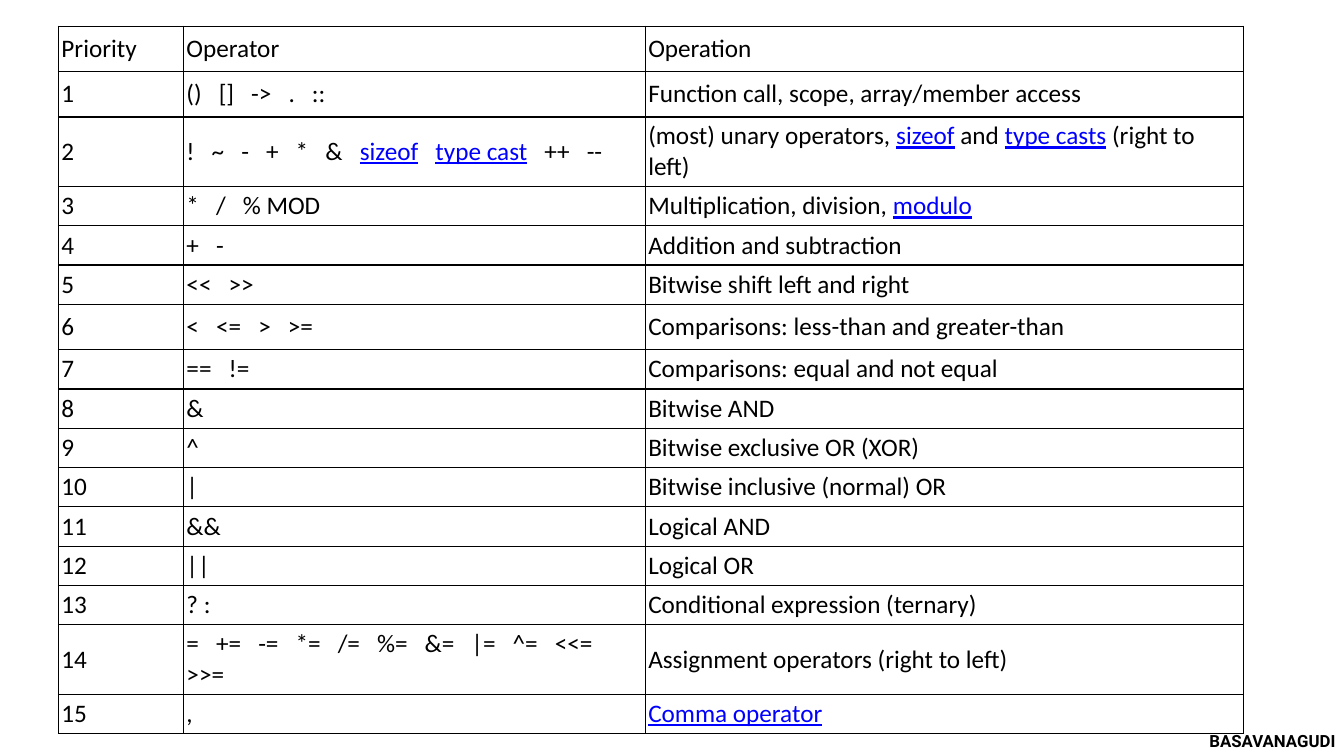
"""Build a slide with a table of operator priorities."""
from dataclasses import dataclass

from lxml import etree
from pptx import Presentation
from pptx import util as u
from pptx.dml.color import RGBColor
from pptx.enum import text
from pptx.oxml import ns

BLACK = "000000"
LINK_BLUE = "0000FF"
GAP = "   "
INSET = u.Inches(0.03)
COLUMN_WIDTHS = (1.24, 4.58, 5.93)
HEADINGS = ("Priority", "Operator", "Operation")
LINK_MARK = "`"


@dataclass(frozen=True)
class Level:
    operators: tuple[str, ...]
    operation: str
    height: float = 0.39


LEVELS = (
    Level(("()", "[]", "->", ".", "::"), "Function call, scope, array/member access", 0.45),
    Level(("!", "~", "-", "+", "*", "&", "`sizeof`", "`type cast`", "++", "--"),
          "(most) unary operators, `sizeof` and `type casts` (right to left)", 0.69),
    Level(("*", "/", "% MOD"), "Multiplication, division, `modulo`"),
    Level(("+", "-"), "Addition and subtraction"),
    Level(("<<", ">>"), "Bitwise shift left and right"),
    Level(("<", "<=", ">", ">="), "Comparisons: less-than and greater-than", 0.45),
    Level(("==", "!="), "Comparisons: equal and not equal"),
    Level(("&",), "Bitwise AND"),
    Level(("^",), "Bitwise exclusive OR (XOR)"),
    Level(("|",), "Bitwise inclusive (normal) OR"),
    Level(("&&",), "Logical AND"),
    Level(("||",), "Logical OR"),
    Level(("? :",), "Conditional expression (ternary)"),
    Level(("=", "+=", "-=", "*=", "/=", "%=", "&=", "|=", "^=", "<<=", ">>="),
          "Assignment operators (right to left)", 0.69),
    Level((",",), "`Comma operator`"),
)


def set_font(font, name: str, size: float, color: str) -> None:
    font.name = name
    font.size = u.Pt(size)
    font.color.rgb = RGBColor.from_string(color)


def set_insets(box) -> None:
    box.margin_left = box.margin_right = box.margin_top = box.margin_bottom = INSET


def add_borders(cell) -> None:
    properties = cell._tc.get_or_add_tcPr()
    for side in ("a:lnL", "a:lnR", "a:lnT", "a:lnB"):
        line = etree.SubElement(properties, ns.qn(side), w=str(u.Pt(1)))
        fill = etree.SubElement(line, ns.qn("a:solidFill"))
        etree.SubElement(fill, ns.qn("a:srgbClr"), val=BLACK)


def fill_cell(cell, content: str) -> None:
    set_insets(cell)
    cell.vertical_anchor = text.MSO_ANCHOR.MIDDLE
    add_borders(cell)
    cell.fill.background()
    paragraph = cell.text_frame.paragraphs[0]
    for index, part in enumerate(content.split(LINK_MARK)):
        if not part:
            continue
        linked = index % 2 == 1
        run = paragraph.add_run()
        run.text = part
        set_font(run.font, "Calibri", 18, LINK_BLUE if linked else BLACK)
        if linked:
            run.font.underline = True


def add_priority_table(slide) -> None:
    rows = [HEADINGS] + [
        (str(priority), GAP.join(level.operators), level.operation)
        for priority, level in enumerate(LEVELS, start=1)
    ]
    heights = [0.45] + [level.height for level in LEVELS]
    priorities = slide.shapes.add_table(
        len(rows), len(HEADINGS), u.Inches(0.58), u.Inches(0.26),
        u.Inches(sum(COLUMN_WIDTHS)), u.Inches(sum(heights))).table
    priorities.first_row = False
    priorities.horz_banding = False
    for column, width in zip(priorities.columns, COLUMN_WIDTHS):
        column.width = u.Inches(width)
    for row, height, contents in zip(priorities.rows, heights, rows):
        row.height = u.Inches(height)
        for cell, content in zip(row.cells, contents):
            fill_cell(cell, content)


def add_place_name(slide) -> None:
    place = slide.shapes.add_textbox(
        u.Inches(11.63), u.Inches(7.22), u.Inches(1.98), u.Inches(0.26)).text_frame
    place.word_wrap = True
    set_insets(place)
    place.text = "BASAVANAGUDI"
    paragraph = place.paragraphs[0]
    paragraph.alignment = text.PP_ALIGN.CENTER
    font = paragraph.runs[0].font
    set_font(font, "Roboto", 12, BLACK)
    font.bold = True


def main() -> None:
    deck = Presentation()
    deck.slide_width = u.Inches(13.33)
    deck.slide_height = u.Inches(7.5)
    slide = deck.slides.add_slide(deck.slide_layouts[6])
    add_place_name(slide)
    add_priority_table(slide)
    deck.save("out.pptx")


if __name__ == "__main__":
    main()
